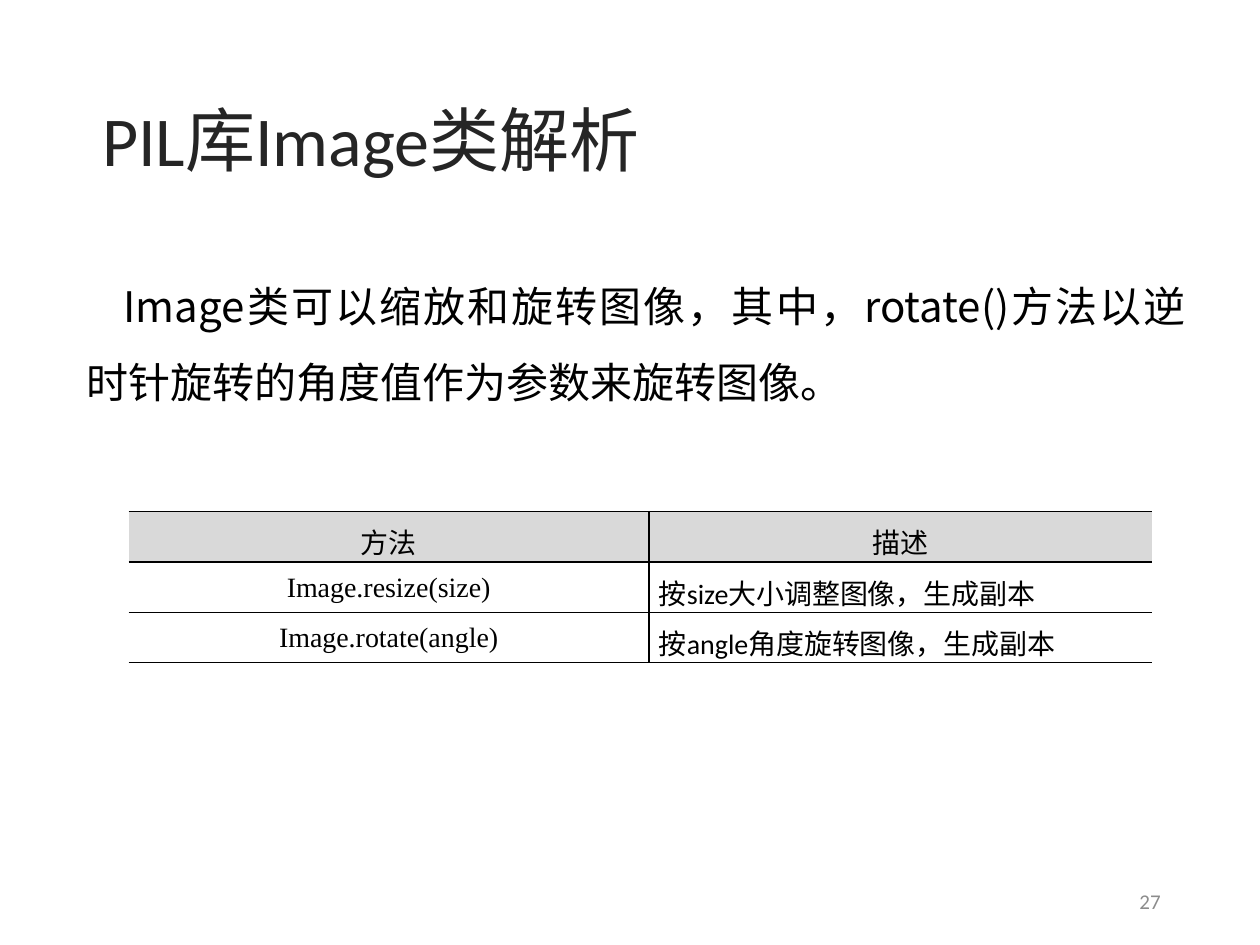
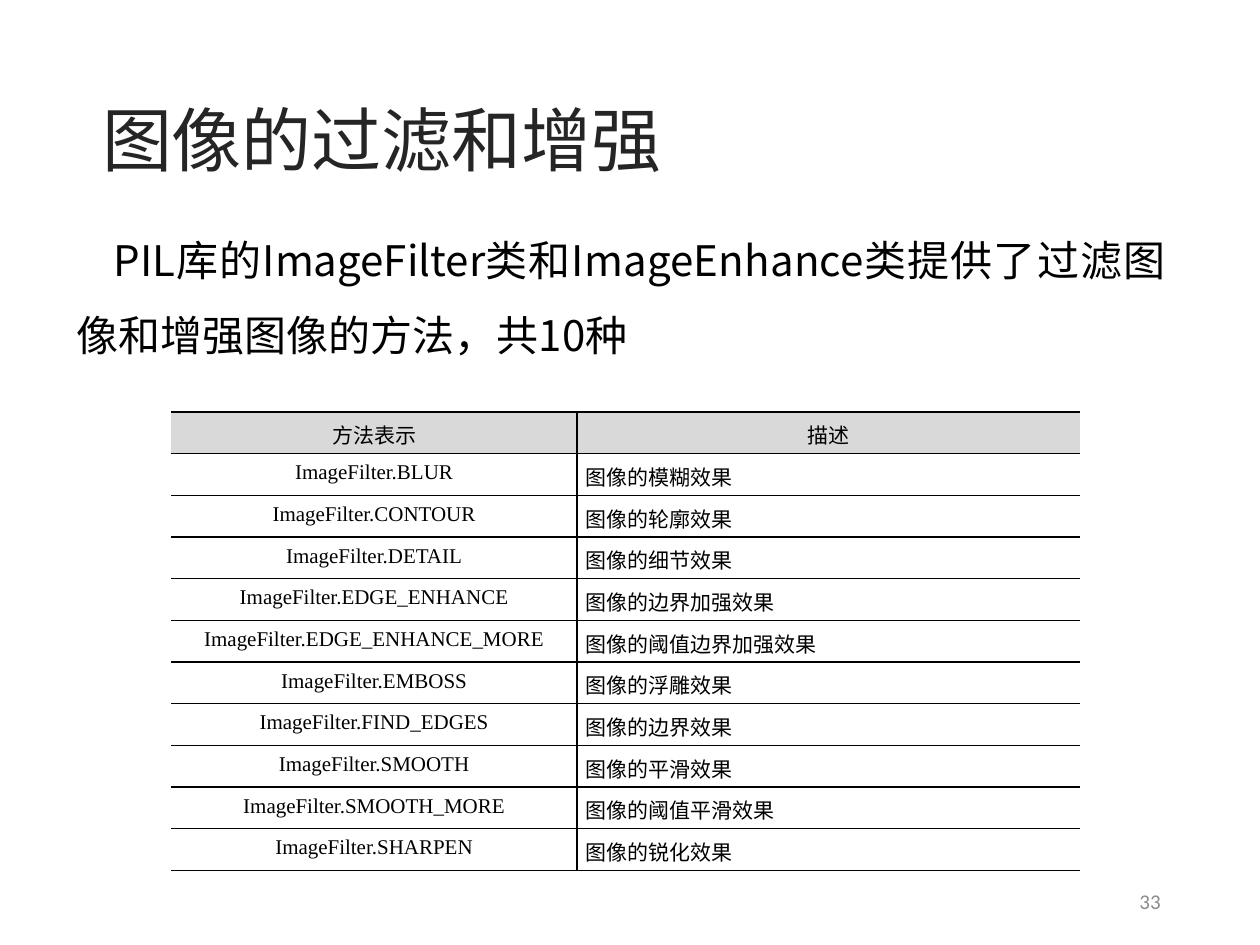
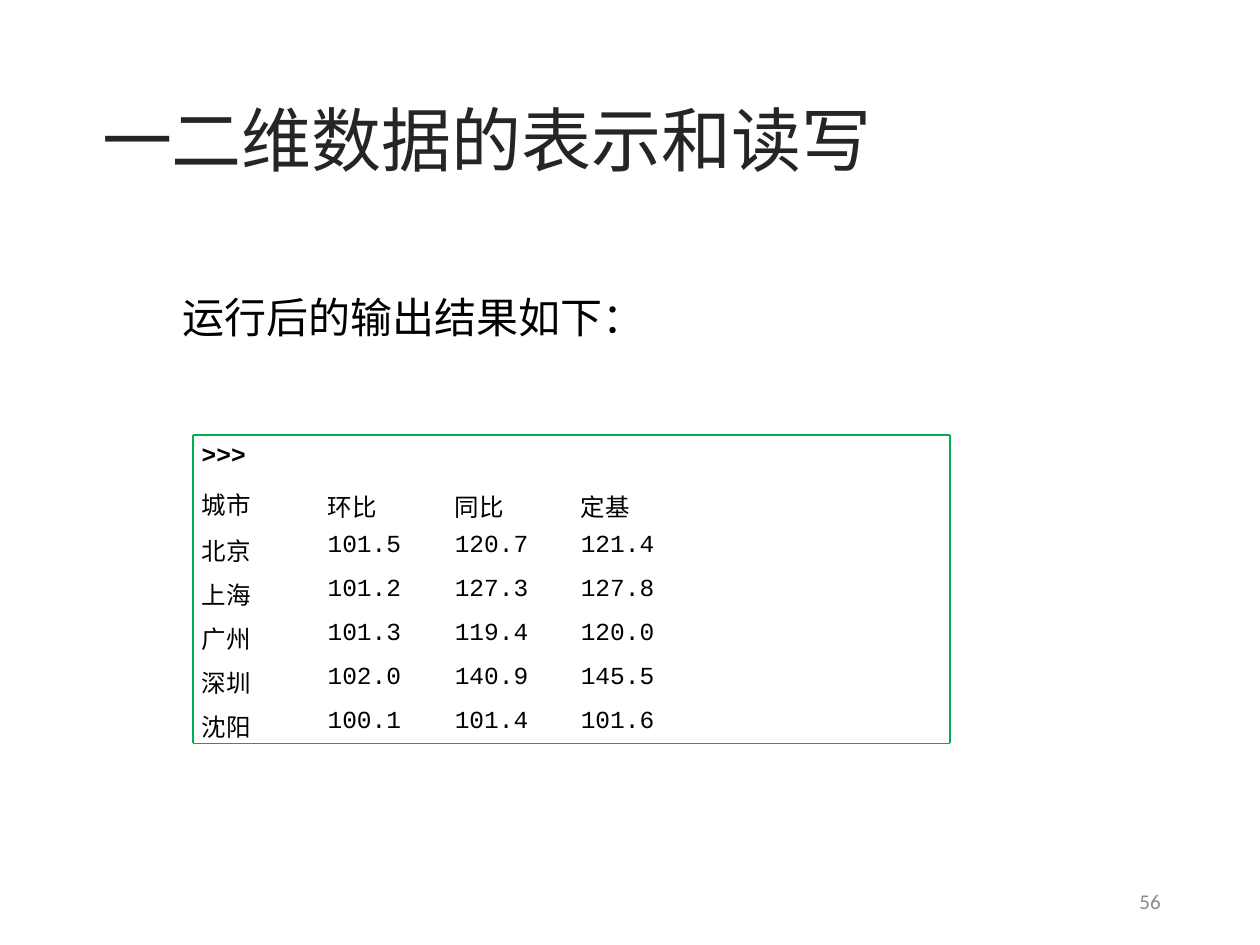
from pptx import Presentation
from pptx.dml.color import RGBColor
from pptx.enum.shapes import MSO_CONNECTOR
from pptx.enum.text import MSO_ANCHOR, MSO_AUTO_SIZE, PP_ALIGN
from pptx.oxml.ns import qn
from pptx.util import Inches, Pt
from lxml.etree import SubElement

COLORS = {"title": "252525", "text": "000000", "number": "8C8C8C",
          "head": "D9D9D9", "cell": "FFFFFF", "frame": "00AF50"}
HAN, LATIN, SERIF, MONO = "Noto Sans CJK SC", "Calibri", "Times New Roman", "Courier New"


def color(name):
    return RGBColor.from_string(COLORS[name])


def style(para, size, font=HAN, tint="text", left=0, first=0):
    """Format a paragraph; Chinese characters always use the same font."""
    props = para._p.get_or_add_pPr()
    props.set("marL", str(Inches(left)))
    props.set("indent", str(Inches(first)))
    para.font.size = Pt(size)
    para.font.color.rgb = color(tint)
    para.font.name = font
    SubElement(props.find(qn("a:defRPr")), qn("a:ea"), typeface=HAN)


def add_runs(para, parts):
    """Add (text, letter spacing in points) pairs."""
    for text, gap in parts:
        run = para.add_run()
        run.text = text
        if gap:
            run._r.get_or_add_rPr().set("spc", str(round(gap * 100)))


def fit(frame):
    frame.word_wrap = True
    frame.auto_size = MSO_AUTO_SIZE.SHAPE_TO_FIT_TEXT
    frame.margin_left = frame.margin_right = frame.margin_bottom = 0
    frame.margin_top = Inches(0.01)


def add_page(deck, title, width, number):
    page = deck.slides.add_slide(deck.slide_layouts[5])
    head = page.shapes.title
    head.left, head.top = Inches(0.81), Inches(0.75)
    head.width, head.height = Inches(width), Inches(0.69)
    frame = head.text_frame
    frame.text = title
    fit(frame)
    frame.vertical_anchor = MSO_ANCHOR.MIDDLE
    para = frame.paragraphs[0]
    para.alignment = PP_ALIGN.LEFT
    style(para, 40, LATIN, "title")

    box = page.shapes.add_textbox(Inches(7.06), Inches(6.95), Inches(2.25), Inches(0.4))
    frame = box.text_frame
    frame.word_wrap = True
    frame.vertical_anchor = MSO_ANCHOR.MIDDLE
    para = frame.paragraphs[0]
    para.text = str(number)
    para.alignment = PP_ALIGN.RIGHT
    style(para, 12, LATIN, "number")
    return page


def add_body(page, place, parts, first=0.0, lines=1.0):
    box = page.shapes.add_textbox(*map(Inches, place))
    fit(box.text_frame)
    para = box.text_frame.paragraphs[0]
    add_runs(para, parts)
    style(para, 24, left=0.01, first=first)
    para.line_spacing = lines


def set_edges(cell, drawn):
    """Draw the named edges (of L, R, T, B) and clear the others."""
    props = cell._tc.get_or_add_tcPr()
    for side in "LRTB":
        line = SubElement(props, qn("a:ln" + side), w=str(Pt(1)))
        if side in drawn:
            fill = SubElement(line, qn("a:solidFill"))
            SubElement(fill, qn("a:srgbClr"), val=COLORS["text"])
        else:
            SubElement(line, qn("a:noFill"))


def add_grid(page, left, top, cols, rows):
    """Add an unstyled table; cols and rows are lists of lengths."""
    table = page.shapes.add_table(len(rows), len(cols), Inches(left), Inches(top),
                                  sum(cols), sum(rows)).table
    table.first_row = table.horz_banding = False
    for col, width in zip(table.columns, cols):
        col.width = width
    for row, height in zip(table.rows, rows):
        row.height = height
    return table


def pad(cell, top):
    cell.margin_left = cell.margin_right = cell.margin_bottom = 0
    cell.margin_top = Inches(top)


def add_methods(page, place, cols, rows, size, top, left):
    """Add a two-column table of methods under a grey heading row."""
    x, y, height = place
    table = add_grid(page, x, y, [Inches(w) for w in cols],
                     [Inches(height) // len(rows)] * len(rows))
    for r, texts in enumerate(rows):
        for c, text in enumerate(texts):
            cell = table.cell(r, c)
            pad(cell, top)
            set_edges(cell, "LTB" if c else "RTB")
            cell.fill.solid()
            cell.fill.fore_color.rgb = color("cell" if r else "head")
            para = cell.text_frame.paragraphs[0]
            para.text = text
            if r and c:
                style(para, size, LATIN, left=left)
            else:
                para.alignment = PP_ALIGN.CENTER
                style(para, size, SERIF if r else HAN)


def add_output(page, rows):
    """Add the printed result, with the prompt above its first heading."""
    table = add_grid(page, 1.53, 3.48, [Inches(w) for w in (0.77, 1.1, 1, 0.83)],
                     [Inches(h) for h in (0.69, 0.37, 0.35, 0.35, 0.35, 0.31)])
    tops = [0.39, 0.05] + [0.03] * 4
    lefts = [0.07, 0.3, 0.21, 0.21]
    for r, texts in enumerate(rows):
        for c, text in enumerate(texts):
            cell = table.cell(r, c)
            pad(cell, tops[r])
            set_edges(cell, "")
            cell.fill.background()
            para = cell.text_frame.paragraphs[0]
            para.text = text
            style(para, 14, MONO if r and c else HAN, left=lefts[c])
    first = table.cell(0, 0)
    pad(first, 0.04)
    prompt = first.text_frame.paragraphs[0]
    prompt.text = ">>>"
    prompt.font.name = MONO
    prompt.font.bold = True
    city = first.text_frame.add_paragraph()
    city.text = rows[0][0]
    city.space_before = Pt(8.6)
    style(city, 14, left=lefts[0])


def add_frame(page, left, top, right, base):
    ends = [(left, top, left, base), (right, top, right, base),
            (left, base, right, base), (left, top, right, top)]
    for end in ends:
        line = page.shapes.add_connector(MSO_CONNECTOR.STRAIGHT, *map(Inches, end))
        line.line.color.rgb = color("frame")
        line.line.width = Pt(1)
        SubElement(line._element.spPr, qn("a:effectLst"))


def main():
    deck = Presentation()
    deck.slide_width, deck.slide_height = Inches(10), Inches(7.5)

    page = add_page(deck, "PIL库Image类解析", 4.7, 27)
    add_body(page, (0.68, 2.02, 8.83, 1.23), [
        ("Imag", 0), ("e类可以缩放和旋转图像，其中，", 1.2), ("rotate(", 0),
        (")方法以逆 ", 1.2), ("时针旋转的角度值作为参数来旋转图像。", 0)], 0.29, 1.5)
    add_methods(page, (1.02, 4.06, 1.2), (4.13, 3.99), [
        ("方法", "描述"),
        ("Image.resize(size)", "按size大小调整图像，生成副本"),
        ("Image.rotate(angle)", "按angle角度旋转图像，生成副本")], 16, 0.08, 0.08)

    page = add_page(deck, "图像的过滤和增强", 4.47, 33)
    add_body(page, (0.6, 1.65, 8.72, 1.23), [
        ("PIL", 0.2), ("库的", 0.75), ("ImageFilter", 0), ("类和", 0.75),
        ("ImageEnhance", 0.1), ("类提供了过滤", 0.7),
        ("图 像和增强图像的方法，共10种", 0)], 0.29, 1.5)
    effects = [("BLUR", "模糊"), ("CONTOUR", "轮廓"), ("DETAIL", "细节"),
               ("EDGE_ENHANCE", "边界加强"), ("EDGE_ENHANCE_MORE", "阈值边界加强"),
               ("EMBOSS", "浮雕"), ("FIND_EDGES", "边界"), ("SMOOTH", "平滑"),
               ("SMOOTH_MORE", "阈值平滑"), ("SHARPEN", "锐化")]
    add_methods(page, (1.36, 3.27, 3.64), (3.22, 3.99), [("方法表示", "描述")] + [
        (f"ImageFilter.{name}", f"图像的{kind}效果") for name, kind in effects],
        12, 0.06, 0.07)

    page = add_page(deck, "一二维数据的表示和读写", 6.14, 56)
    add_body(page, (1.44, 2.3, 3.69, 0.43), [("运行后的输出结果如下：", 0)])
    add_output(page, [
        ("城市", "环比", "同比", "定基"),
        ("北京", "101.5", "120.7", "121.4"),
        ("上海", "101.2", "127.3", "127.8"),
        ("广州", "101.3", "119.4", "120.0"),
        ("深圳", "102.0", "140.9", "145.5"),
        ("沈阳", "100.1", "101.4", "101.6")])
    add_frame(page, 1.53, 3.45, 7.54, 5.9)

    deck.save("out.pptx")


if __name__ == "__main__":
    main()
